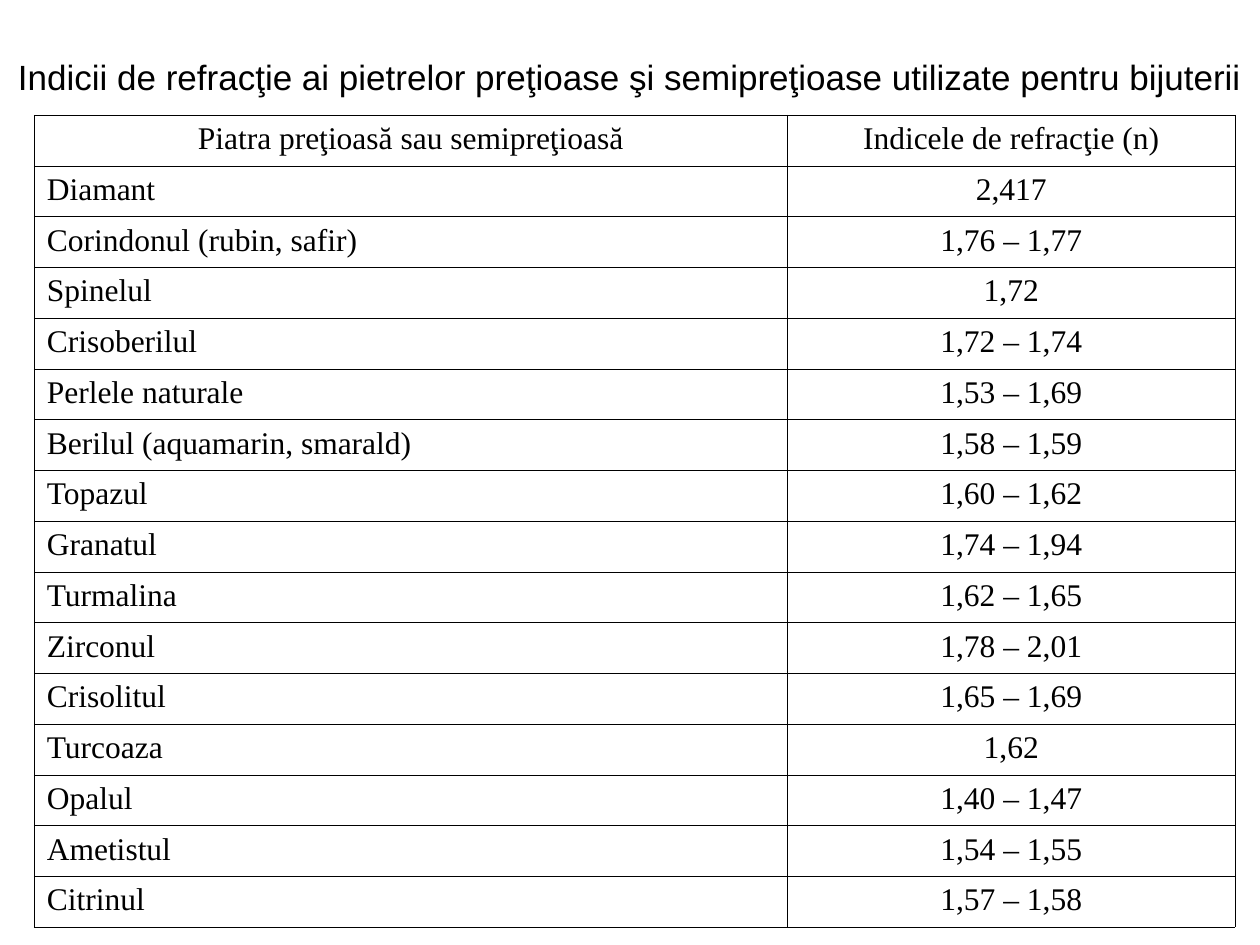
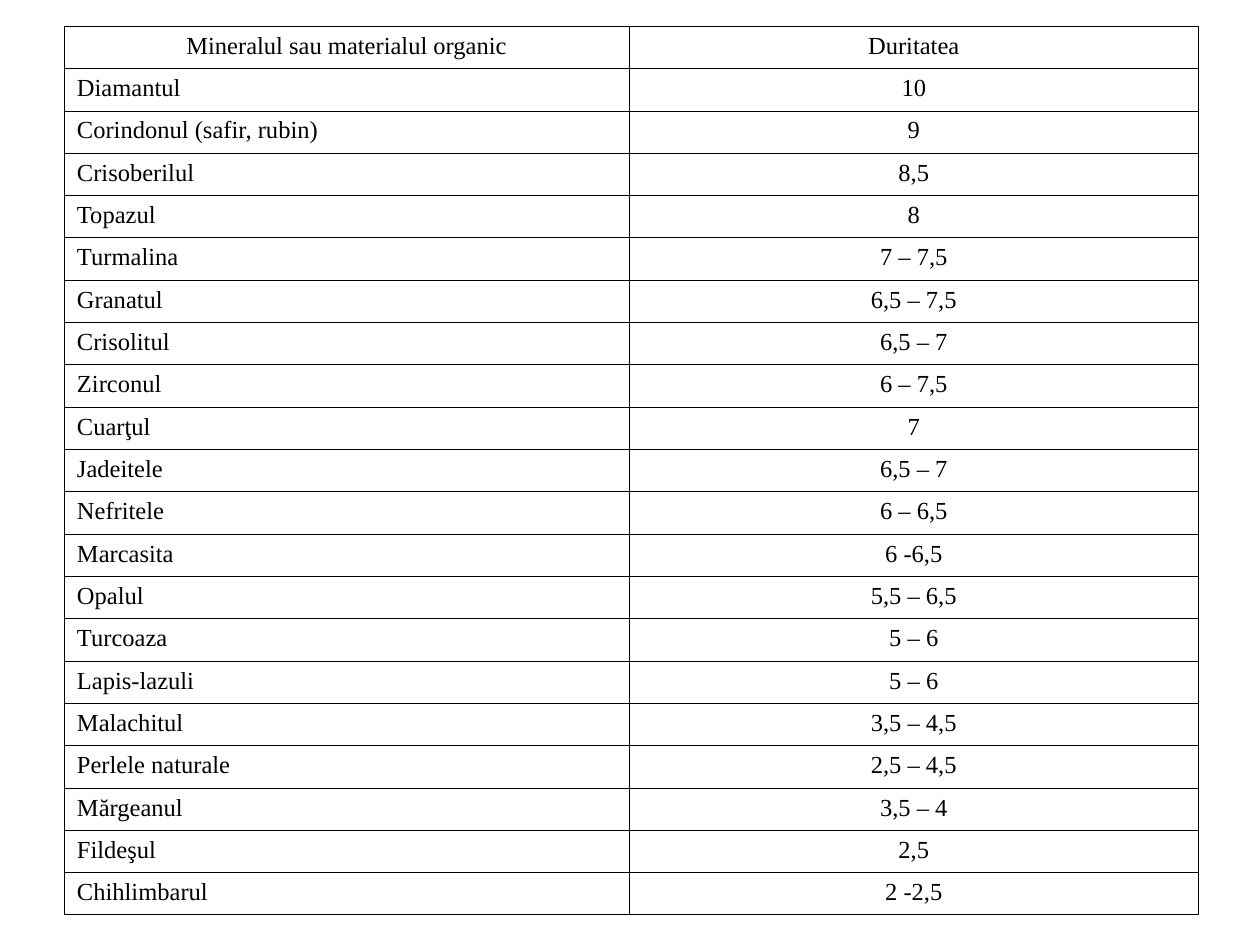
import dataclasses

import pptx
import pptx.dml.color
import pptx.enum.text
import pptx.oxml.ns
import pptx.util
from lxml import etree

Pt = pptx.util.Pt
ALIGN = pptx.enum.text.PP_ALIGN


@dataclasses.dataclass(frozen=True)
class Theme:
    ink: str = "000000"
    title_font: str = "Arial"
    table_font: str = "Times New Roman"
    title_size: float = 20
    large_table_size: float = 18
    small_table_size: float = 14
    border_width: float = 0.45


THEME = Theme()
TITLE_ONLY, BLANK = 5, 6

# Table contents, header row first
REFRACTION = [
    ("Piatra preţioasă sau semipreţioasă", "Indicele de refracţie (n)"),
    ("Diamant", "2,417"),
    ("Corindonul (rubin, safir)", "1,76 – 1,77"),
    ("Spinelul", "1,72"),
    ("Crisoberilul", "1,72 – 1,74"),
    ("Perlele naturale", "1,53 – 1,69"),
    ("Berilul (aquamarin, smarald)", "1,58 – 1,59"),
    ("Topazul", "1,60 – 1,62"),
    ("Granatul", "1,74 – 1,94"),
    ("Turmalina", "1,62 – 1,65"),
    ("Zirconul", "1,78 – 2,01"),
    ("Crisolitul", "1,65 – 1,69"),
    ("Turcoaza", "1,62"),
    ("Opalul", "1,40 – 1,47"),
    ("Ametistul", "1,54 – 1,55"),
    ("Citrinul", "1,57 – 1,58"),
]
HARDNESS = [
    ("Mineralul sau materialul organic", "Duritatea"),
    ("Diamantul", "10"),
    ("Corindonul (safir, rubin)", "9"),
    ("Crisoberilul", "8,5"),
    ("Topazul", "8"),
    ("Turmalina", "7 – 7,5"),
    ("Granatul", "6,5 – 7,5"),
    ("Crisolitul", "6,5 – 7"),
    ("Zirconul", "6 – 7,5"),
    ("Cuarţul", "7"),
    ("Jadeitele", "6,5 – 7"),
    ("Nefritele", "6 – 6,5"),
    ("Marcasita", "6 -6,5"),
    ("Opalul", "5,5 – 6,5"),
    ("Turcoaza", "5 – 6"),
    ("Lapis-lazuli", "5 – 6"),
    ("Malachitul", "3,5 – 4,5"),
    ("Perlele naturale", "2,5 – 4,5"),
    ("Mărgeanul", "3,5 – 4"),
    ("Fildeşul", "2,5"),
    ("Chihlimbarul", "2 -2,5"),
]


def style_paragraph(p, font, size, align):
    p.alignment = align
    p.font.name = font
    p.font.size = Pt(size)
    p.font.color.rgb = pptx.dml.color.RGBColor.from_string(THEME.ink)


def set_title(s, text, left, top, width, height):
    sp = s.shapes.title
    sp.left, sp.top, sp.width, sp.height = map(Pt, (left, top, width, height))
    tf = sp.text_frame
    tf.text = text
    tf.word_wrap = True
    tf.auto_size = pptx.enum.text.MSO_AUTO_SIZE.NONE
    tf.vertical_anchor = pptx.enum.text.MSO_ANCHOR.MIDDLE
    style_paragraph(tf.paragraphs[0], THEME.title_font, THEME.title_size, ALIGN.CENTER)


def set_borders(cell):
    qn = pptx.oxml.ns.qn
    tc_pr = cell._tc.get_or_add_tcPr()
    for side in ("lnL", "lnR", "lnT", "lnB"):
        ln = etree.SubElement(tc_pr, qn(f"a:{side}"), w=str(int(Pt(THEME.border_width))))
        fill = etree.SubElement(ln, qn("a:solidFill"))
        etree.SubElement(fill, qn("a:srgbClr"), val=THEME.ink)


def add_grid(s, rows, left, top, col_widths, row_height, size, name_align):
    """Two-column table: names aligned as given, header and values centred."""
    frame = s.shapes.add_table(len(rows), len(col_widths), Pt(left), Pt(top),
                               Pt(sum(col_widths)), Pt(row_height * len(rows)))
    table = frame.table
    table.first_row = table.horz_banding = False
    for column, width in zip(table.columns, col_widths):
        column.width = Pt(width)
    for i, row in enumerate(rows):
        table.rows[i].height = Pt(row_height)
        for j, text in enumerate(row):
            cell = table.cell(i, j)
            cell.text = text
            set_borders(cell)
            cell.fill.background()
            align = name_align if i > 0 and j == 0 else ALIGN.CENTER
            style_paragraph(cell.text_frame.paragraphs[0], THEME.table_font, size, align)


def main():
    prs = pptx.Presentation()
    prs.slide_width, prs.slide_height = Pt(720), Pt(540)

    # Refractive indices
    s = prs.slides.add_slide(prs.slide_layouts[TITLE_ONLY])
    set_title(s, "Indicii de refracţie ai pietrelor preţioase şi semipreţioase "
                 "utilizate pentru bijuterii", 0, 29.5, 720, 28)
    add_grid(s, REFRACTION, 19.6, 65.8, (430.4, 255.8), 29,
             THEME.large_table_size, ALIGN.LEFT)

    # Hardness
    s = prs.slides.add_slide(prs.slide_layouts[BLANK])
    add_grid(s, HARDNESS, 36.8, 15, (322.8, 325.2), 24.2,
             THEME.small_table_size, ALIGN.JUSTIFY)

    prs.save("out.pptx")


if __name__ == "__main__":
    main()
